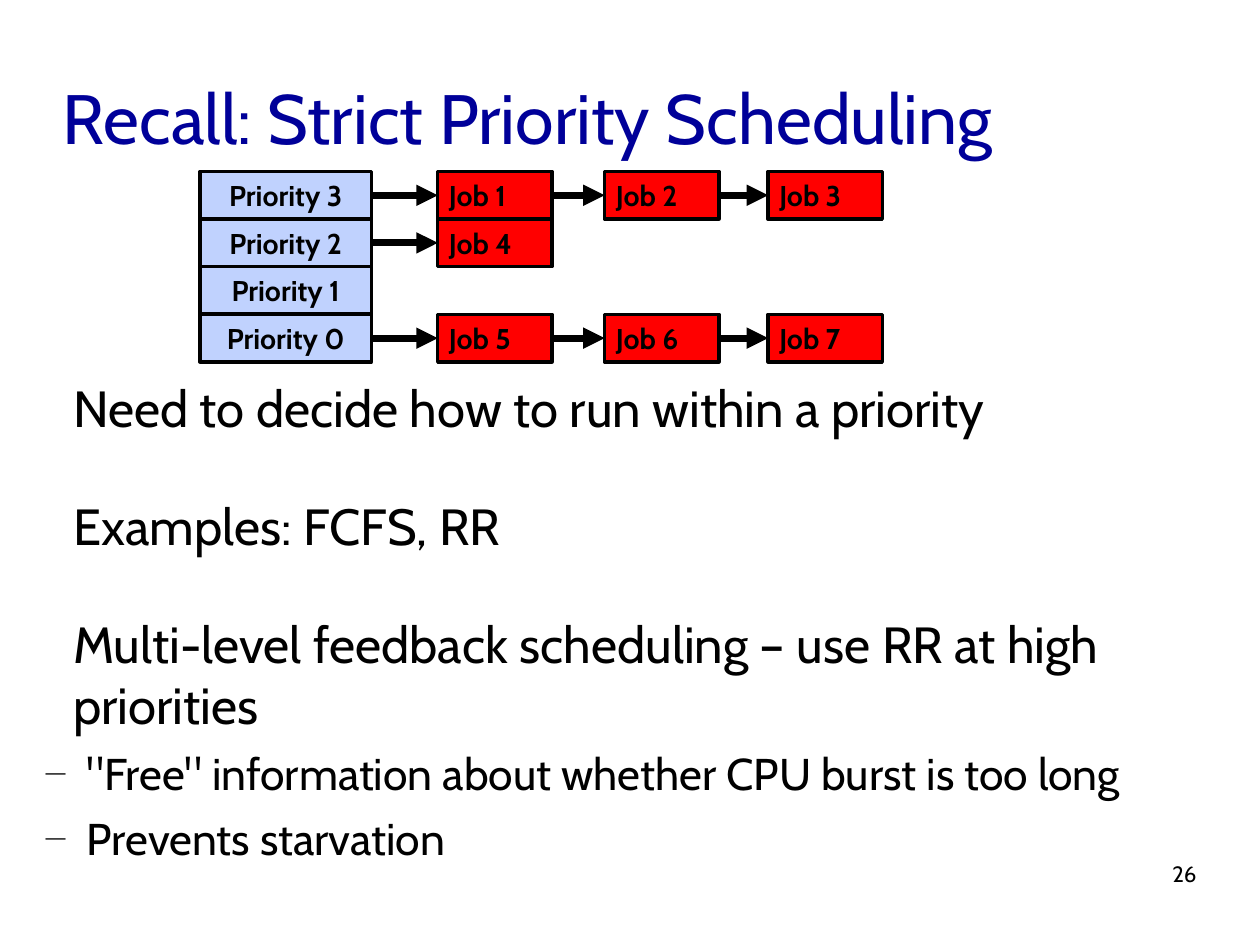
from lxml.etree import SubElement
from pptx import Presentation
from pptx.dml.color import RGBColor
from pptx.enum.shapes import MSO_CONNECTOR as Connector, MSO_SHAPE as Shape
from pptx.enum.text import MSO_ANCHOR as Anchor, MSO_AUTO_SIZE as AutoSize, PP_ALIGN as Align
from pptx.oxml.ns import qn
from pptx.util import Inches, Pt

BLACK = RGBColor(0x00, 0x00, 0x00)
NAVY = RGBColor(0x00, 0x00, 0x99)
PALE_BLUE = RGBColor(0xC0, 0xD2, 0xFE)
RED = RGBColor(0xFF, 0x00, 0x00)

# The page is 28 by 21 centimetres
PAGE_WIDTH, PAGE_HEIGHT = 28 / 2.54, 21 / 2.54
TOP, ROW_HEIGHT = 1.5, 1.25 / 3
QUEUE_LEFT, QUEUE_WIDTH = 1.75, 1.5
JOB_LEFTS, JOB_WIDTH = (3.83, 5.29, 6.72), 1
QUEUES = [
    ("Priority 3", ["Job 1", "Job 2", "Job 3"]),
    ("Priority 2", ["Job 4"]),
    ("Priority 1", []),
    ("Priority 0", ["Job 5", "Job 6", "Job 7"]),
]
POINTS = [
    (0, "Need to decide how to run within a priority"),
    (0, "Examples: FCFS, RR"),
    (0, "Multi-level feedback scheduling – use RR at high priorities"),
    (1, "\"Free\" information about whether CPU burst is too long"),
    (1, "Prevents starvation"),
]


def write(paragraph, text, *, size, color=BLACK, bold=False, align=Align.LEFT, font="Cabin"):
    paragraph.alignment = align
    run = paragraph.add_run()
    run.text = text
    run.font.name = font
    run.font.size = Pt(size)
    run.font.bold = bold
    run.font.color.rgb = color


def set_bullet(paragraph, margin, char=None):
    props = paragraph._p.get_or_add_pPr()
    props.set("marL", str(Inches(margin)))
    props.set("indent", str(Inches(-margin if char else 0)))
    if char:
        color = SubElement(props, qn("a:buClr"))
        SubElement(color, qn("a:srgbClr"), val=str(BLACK))
        SubElement(props, qn("a:buSzPct"), val="45000")
        SubElement(props, qn("a:buChar"), char=char)
    else:
        SubElement(props, qn("a:buNone"))


class SlideBuilder:
    def __init__(self, slide):
        self.slide = slide

    def frame(self, shape, left, top, width, height, anchor=Anchor.TOP):
        shape.left, shape.top = Inches(left), Inches(top)
        shape.width, shape.height = Inches(width), Inches(height)
        frame = shape.text_frame
        frame.word_wrap = True
        frame.auto_size = AutoSize.NONE
        frame.vertical_anchor = anchor
        frame.margin_left = frame.margin_right = 0
        frame.margin_top = frame.margin_bottom = 0
        return frame

    def title(self, text):
        frame = self.frame(self.slide.shapes.title, 0.55, 0.33, 9.92, 1.38, Anchor.MIDDLE)
        write(frame.paragraphs[0], text, size=44, color=NAVY)

    def body(self, points):
        frame = self.frame(self.slide.placeholders[1], 0.4, 3.3, 10.07, 4)
        for index, (level, text) in enumerate(points):
            point = frame.add_paragraph() if index else frame.paragraphs[0]
            point.level = level
            point.space_before = Pt(28.8 if index and level == 0 else 0)
            point.space_after = Pt(7.2 if level else 7.1)
            set_bullet(point, *((0.36, "―") if level else (0.24,)))
            write(point, text, size=28 if level else 32)

    def box(self, text, left, top, width, fill, align):
        box = self.slide.shapes.add_shape(
            Shape.RECTANGLE, Inches(left), Inches(top), Inches(width), Inches(ROW_HEIGHT))
        box.shadow.inherit = False
        box.fill.solid()
        box.fill.fore_color.rgb = fill
        box.line.color.rgb = BLACK
        box.line.width = Pt(2.25)
        write(box.text_frame.paragraphs[0], text, size=18, bold=True, align=align)
        return box

    def arrow(self, source, target):
        arrow = self.slide.shapes.add_connector(Connector.STRAIGHT, 0, 0, 0, 0)
        arrow.begin_connect(source, 3)
        arrow.end_connect(target, 1)
        arrow.line.color.rgb = BLACK
        arrow.line.width = Pt(4.5)
        props = arrow._element.spPr
        SubElement(props.find(qn("a:ln")), qn("a:tailEnd"), type="triangle")
        SubElement(props, qn("a:effectLst"))

    def page_number(self, number):
        box = self.slide.shapes.add_textbox(0, 0, 0, 0)
        frame = self.frame(box, 7.9, 7.53, 2.57, 0.57)
        write(frame.paragraphs[0], number, size=14, align=Align.RIGHT)


def main():
    deck = Presentation()
    deck.slide_width, deck.slide_height = Inches(PAGE_WIDTH), Inches(PAGE_HEIGHT)
    builder = SlideBuilder(deck.slides.add_slide(deck.slide_layouts[1]))

    # Heading and points
    builder.title("Recall: Strict Priority Scheduling")
    builder.body(POINTS)

    # Each priority level leads to its chain of jobs
    for row, (priority, jobs) in enumerate(QUEUES):
        top = TOP + row * ROW_HEIGHT
        previous = builder.box(priority, QUEUE_LEFT, top, QUEUE_WIDTH, PALE_BLUE, Align.CENTER)
        for left, name in zip(JOB_LEFTS, jobs):
            job = builder.box(name, left, top, JOB_WIDTH, RED, Align.LEFT)
            builder.arrow(previous, job)
            previous = job

    # Footer
    builder.page_number("26")
    deck.save("out.pptx")


if __name__ == "__main__":
    main()
